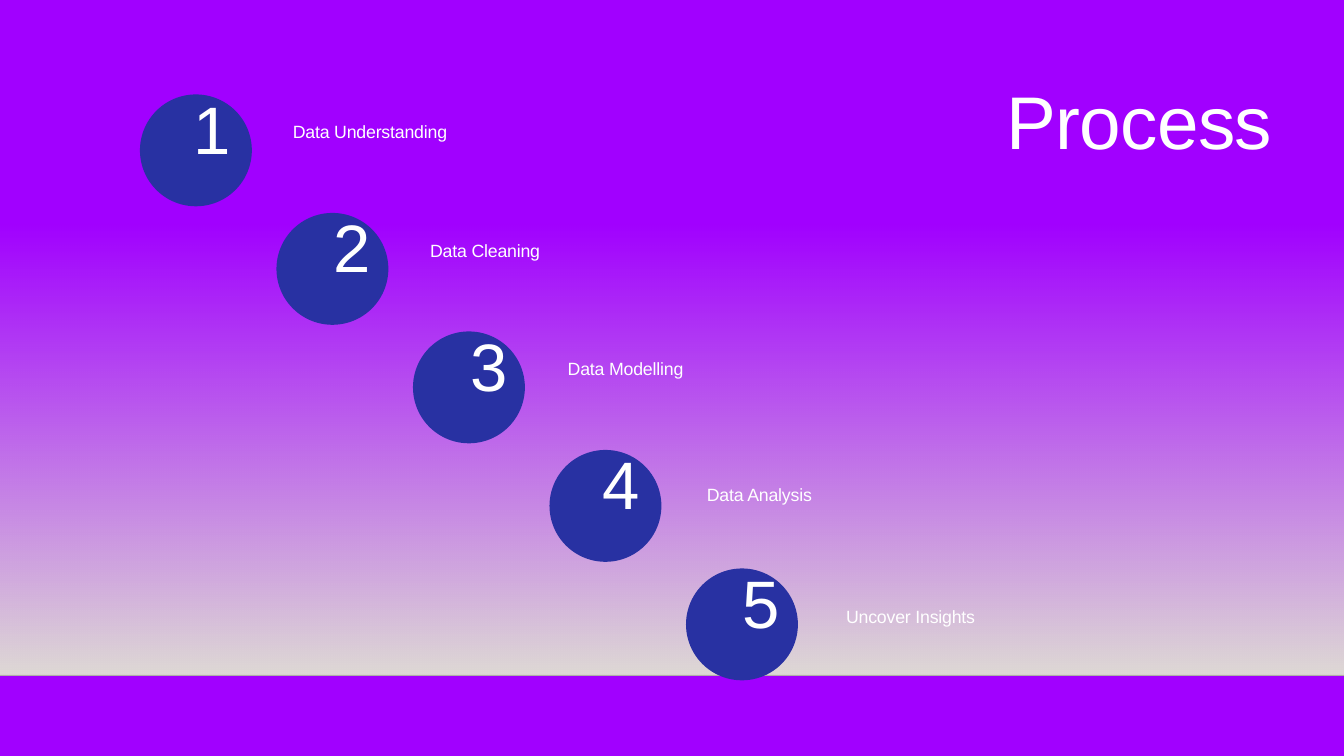
from lxml import etree
from pptx import Presentation
from pptx.dml.color import RGBColor
from pptx.enum.shapes import MSO_CONNECTOR, MSO_SHAPE
from pptx.enum.text import MSO_AUTO_SIZE, PP_ALIGN
from pptx.oxml.ns import qn
from pptx.util import Cm, Pt

LINE = MSO_CONNECTOR.STRAIGHT
RECT, OVAL = MSO_SHAPE.RECTANGLE, MSO_SHAPE.OVAL
GROW = MSO_AUTO_SIZE.SHAPE_TO_FIT_TEXT
LEFT, RIGHT = PP_ALIGN.LEFT, PP_ALIGN.RIGHT

WIDTH, HEIGHT = 50.8, 28.58
COLORS = {"back": "A100FF", "fade": "DFDBD5", "rule": "000001",
          "disc": "2831A2", "text": "FFFFFF"}

# label, digit left, label left, label top (cm)
STEPS = [
    ("Data Understanding", 7.32, 11.07, 4.45),
    ("Data Cleaning", 12.6, 16.26, 8.94),
    ("Data Modelling", 17.78, 21.46, 13.41),
    ("Data Analysis", 22.76, 26.72, 18.16),
    ("Uncover Insights", 28.07, 31.98, 22.76),
]
DISC = 4.23
DISC_X, DISC_Y = 5.29, 3.57
STEP_X, STEP_Y = 5.16, 4.48
DIGIT_Y = 3.81


class Deck:
    font = "Arial"

    def __init__(self, show):
        self.slide = show.slides.add_slide(show.slide_layouts[6])
        self.shapes = self.slide.shapes

    def color(self, name):
        return RGBColor.from_string(COLORS[name])

    def alpha(self, node, share):
        """Set the opacity, in percent, of the first colour under node."""
        tint = next(node.iter(qn("a:srgbClr")))
        etree.SubElement(tint, qn("a:alpha")).set("val", str(share * 1000))

    def back(self, name):
        fill = self.slide.background.fill
        fill.solid()
        fill.fore_color.rgb = self.color(name)

    def shape(self, kind, x, y, w, h):
        item = self.shapes.add_shape(kind, Cm(x), Cm(y), Cm(w), Cm(h))
        item.shadow.inherit = False
        item.line.fill.background()
        return item

    def fade(self, x, y, w, h, name):
        """Draw a band that goes from clear at the top to solid below."""
        band = self.shape(RECT, x, y, w, h)
        band.fill.gradient()
        band.fill.gradient_angle = 270
        for stop, place in zip(band.fill.gradient_stops, (0, 1)):
            stop.color.rgb = self.color(name)
            stop.position = place
        self.alpha(band._element.spPr, 0)

    def rule(self, x, y, w, name):
        line = self.shapes.add_connector(LINE, Cm(x), Cm(y), Cm(x + w), Cm(y))
        line.line.color.rgb = self.color(name)
        line.line.width = Pt(1)
        self.alpha(line._element.spPr, 20)
        etree.SubElement(line._element.spPr, qn("a:effectLst"))

    def disc(self, x, y, size, name):
        item = self.shape(OVAL, x, y, size, size)
        item.fill.solid()
        item.fill.fore_color.rgb = self.color(name)

    def text(self, words, x, y, w, h, size, lead, track, align=LEFT):
        """Add one line of text; lead and track are in points."""
        box = self.shapes.add_textbox(Cm(x), Cm(y), Cm(w), Cm(h))
        frame = box.text_frame
        frame.margin_left = frame.margin_right = 0
        frame.margin_top = frame.margin_bottom = 0
        frame.word_wrap = True
        frame.auto_size = GROW
        frame.text = words
        para = frame.paragraphs[0]
        para.alignment = align
        para.line_spacing = Pt(lead)
        run = para.runs[0]
        run.font.name = self.font
        run.font.size = Pt(size)
        run.font.color.rgb = self.color("text")
        run._r.get_or_add_rPr().set("spc", str(round(track * 100)))


def main():
    show = Presentation()
    show.slide_width, show.slide_height = Cm(WIDTH), Cm(HEIGHT)
    deck = Deck(show)

    deck.back("back")
    deck.fade(0, 8.41, WIDTH, 17.12, "fade")
    deck.rule(0, 25.53, WIDTH, "rule")
    deck.text("Process", 29.64, 2.84, 18.44, 3.43, 80, 96, -0.8, RIGHT)

    for i, (label, digit_x, label_x, label_y) in enumerate(STEPS):
        deck.disc(DISC_X + i * STEP_X, DISC_Y + i * STEP_Y, DISC, "disc")
        deck.text(str(i + 1), digit_x, DIGIT_Y + i * STEP_Y, 3.4, 2.64,
                  71.9, 71.9, -6.4)
        deck.text(label, label_x, label_y, 9.47, 0.97, 19, 26.6, -0.2)

    show.save("out.pptx")


if __name__ == "__main__":
    main()
